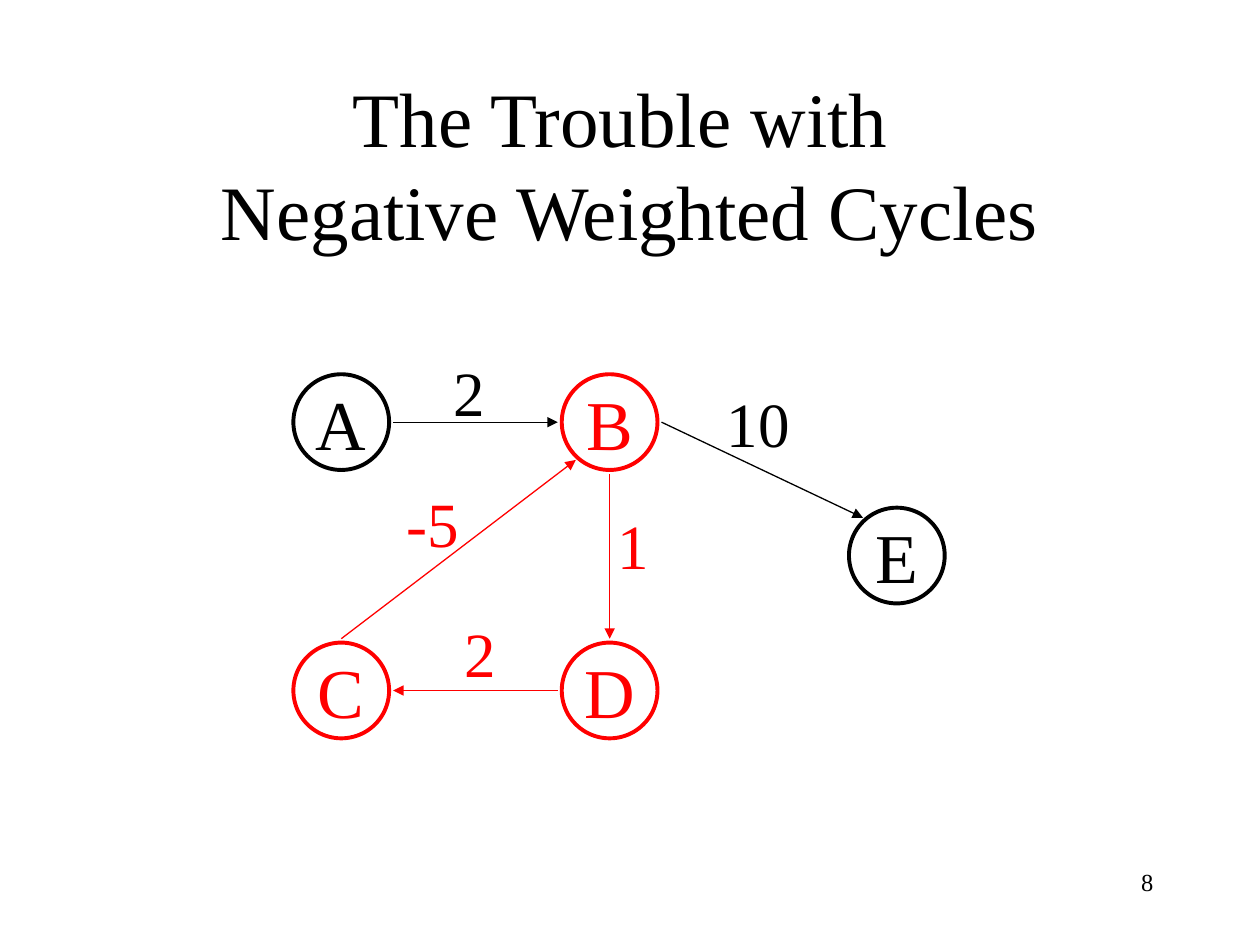
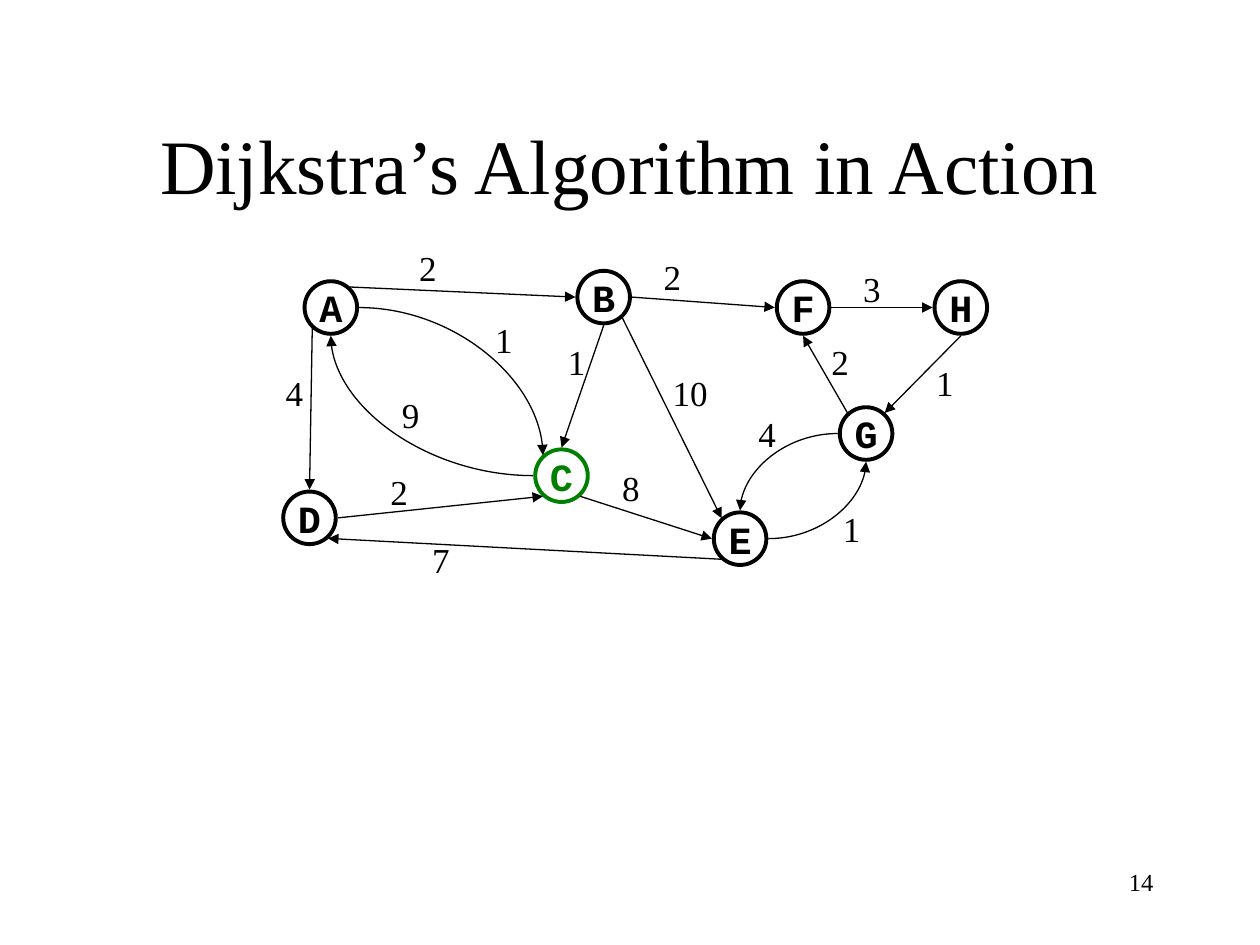
from dataclasses import dataclass
from math import sqrt

from lxml.etree import SubElement
from pptx import Presentation
from pptx.dml.color import RGBColor
from pptx.enum.shapes import MSO_CONNECTOR, MSO_SHAPE
from pptx.enum.text import MSO_ANCHOR, MSO_AUTO_SIZE, PP_ALIGN
from pptx.oxml.ns import qn
from pptx.util import Cm, Pt


@dataclass(frozen=True)
class Theme:
    black: RGBColor = RGBColor(0, 0, 0)
    white: RGBColor = RGBColor(255, 255, 255)
    red: RGBColor = RGBColor(255, 0, 0)
    green: RGBColor = RGBColor(0, 128, 0)
    serif: str = "Times New Roman"
    mono: str = "Courier New"
    title_size: int = 44
    number_size: int = 14
    node_line: float = 2.24
    edge_line: float = 0.74


@dataclass(frozen=True)
class GraphStyle:
    diameter: float
    gap: float
    node_font: str
    node_size: int
    node_bold: bool
    weight_size: int


THEME = Theme()
LARGE = GraphStyle(1.93, 0.08, THEME.serif, 40, False, 36)
SMALL = GraphStyle(1.06, 0.04, THEME.mono, 22, True, 20)

TITLE_BOX = (1.9, 1.7, 21.6, 3.18)
NUMBER_BOX = (18.2, 17.35, 5.3, 1.27)
INSETS = (0.51, 0.25)
CM_PER_POINT = 2.54 / 72
COMPASS = {
    "N": (0, -1), "NE": (1, -1), "E": (1, 0), "SE": (1, 1),
    "S": (0, 1), "SW": (-1, 1), "W": (-1, 0), "NW": (-1, -1),
}


def lengths(box):
    return [Cm(value) for value in box]


def add_run(paragraph, text, size, font=THEME.serif, color=THEME.black, bold=False):
    run = paragraph.add_run()
    run.text = text
    run.font.size = Pt(size)
    run.font.name = font
    run.font.bold = bold
    run.font.color.rgb = color


def add_title(slide, box, lines):
    title = slide.shapes.title
    title.left, title.top, title.width, title.height = lengths(box)
    frame = title.text_frame
    frame.auto_size = MSO_AUTO_SIZE.NONE
    frame.vertical_anchor = MSO_ANCHOR.MIDDLE
    paragraph = frame.paragraphs[0]
    paragraph.alignment = PP_ALIGN.CENTER
    for index, line in enumerate(lines):
        if index:
            paragraph.add_line_break()
        add_run(paragraph, line, THEME.title_size)


def add_number(slide, box, number):
    frame = slide.shapes.add_textbox(*lengths(box)).text_frame
    frame.word_wrap = True
    paragraph = frame.paragraphs[0]
    paragraph.alignment = PP_ALIGN.RIGHT
    add_run(paragraph, str(number), THEME.number_size)


def add_node(slide, center, name, color, style):
    x, y = center
    side = style.diameter
    shape = slide.shapes.add_shape(
        MSO_SHAPE.OVAL, *lengths((x - side / 2, y - side / 2, side, side)))
    shape.shadow.inherit = False
    shape.fill.solid()
    shape.fill.fore_color.rgb = THEME.white
    shape.line.color.rgb = color
    shape.line.width = Pt(THEME.node_line)
    frame = shape.text_frame
    frame.word_wrap = False
    frame.vertical_anchor = MSO_ANCHOR.MIDDLE
    paragraph = frame.paragraphs[0]
    paragraph.alignment = PP_ALIGN.CENTER
    add_run(paragraph, name, style.node_size, style.node_font, color, style.node_bold)


def port(center, side, style):
    x, y = center
    across, down = COMPASS[side]
    radius = style.diameter / 2
    if across and down:
        reach = radius / sqrt(2)
        return x + across * reach, y + down * (reach + style.gap)
    return x + across * (radius + style.gap), y + down * (radius + style.gap)


def add_edge(slide, start, end, color, curved):
    kind = MSO_CONNECTOR.CURVE if curved else MSO_CONNECTOR.STRAIGHT
    connector = slide.shapes.add_connector(kind, *lengths(start + end))
    connector.line.color.rgb = color
    connector.line.width = Pt(THEME.edge_line)
    properties = connector.element.spPr
    if curved:
        properties.find(qn("a:prstGeom")).set("prst", "curvedConnector2")
    SubElement(properties.find(qn("a:ln")), qn("a:tailEnd"), type="triangle")
    SubElement(properties, qn("a:effectLst"))


def add_weight(slide, left, top, text, color, size):
    ems = sum(0.33 if character == "-" else 0.5 for character in text)
    width = INSETS[0] + ems * size * CM_PER_POINT
    height = INSETS[1] + 1.2 * size * CM_PER_POINT
    frame = slide.shapes.add_textbox(*lengths((left, top, width, height))).text_frame
    frame.word_wrap = False
    add_run(frame.paragraphs[0], text, size, color=color)


def add_graph(slide, origin, nodes, edges, style):
    left, top = origin
    centers = {name: (left + x, top + y) for name, (x, y, color) in nodes.items()}
    for name, center in centers.items():
        add_node(slide, center, name, nodes[name][2], style)
    for source, leave, target, arrive, weight, x, y, color, curved in edges:
        start = port(centers[source], leave, style)
        end = port(centers[target], arrive, style)
        add_edge(slide, start, end, color, curved)
    for source, leave, target, arrive, weight, x, y, color, curved in edges:
        add_weight(slide, left + x, top + y, weight, color, style.weight_size)


def add_graph_slide(presentation, lines, number, origin, nodes, edges, style):
    slide = presentation.slides.add_slide(presentation.slide_layouts[5])
    add_title(slide, TITLE_BOX, lines)
    add_graph(slide, origin, nodes, edges, style)
    add_number(slide, NUMBER_BOX, number)


BLACK, RED, GREEN = THEME.black, THEME.red, THEME.green

CYCLE_NODES = {
    "A": (0.98, 1.51, BLACK),
    "B": (6.39, 1.51, RED),
    "C": (0.98, 6.92, RED),
    "D": (6.39, 6.92, RED),
    "E": (12.18, 4.2, BLACK),
}
CYCLE_EDGES = [
    ("A", "E", "B", "W", "2", 2.99, 0, BLACK, False),
    ("B", "S", "D", "N", "1", 6.29, 3.08, RED, False),
    ("D", "W", "C", "E", "2", 3.22, 5.27, RED, False),
    ("C", "N", "B", "SW", "-5", 2.05, 2.65, RED, False),
    ("B", "E", "E", "NW", "10", 8.5, 0.62, BLACK, False),
]

DIJKSTRA_NODES = {
    "A": (1.17, 1.35, BLACK),
    "C": (5.82, 4.74, GREEN),
    "B": (6.67, 1.14, BLACK),
    "D": (0.74, 5.59, BLACK),
    "F": (10.69, 1.35, BLACK),
    "H": (13.87, 1.35, BLACK),
    "G": (11.96, 3.89, BLACK),
    "E": (9.42, 6.01, BLACK),
}
DIJKSTRA_EDGES = [
    ("A", "E", "C", "NW", "1", 4.23, 1.45, BLACK, True),
    ("C", "W", "A", "S", "9", 2.35, 2.95, BLACK, True),
    ("A", "NE", "B", "W", "2", 2.7, 0, BLACK, False),
    ("B", "S", "C", "N", "1", 5.7, 1.88, BLACK, False),
    ("D", "E", "C", "SW", "2", 2.12, 4.5, BLACK, False),
    ("A", "SW", "D", "N", "4", 0.01, 2.52, BLACK, False),
    ("C", "SE", "E", "W", "8", 6.79, 4.42, BLACK, False),
    ("E", "SW", "D", "SE", "7", 2.96, 5.89, BLACK, False),
    ("G", "NW", "F", "S", "2", 11.01, 1.88, BLACK, False),
    ("F", "E", "H", "W", "3", 11.65, 0.41, BLACK, False),
    ("H", "S", "G", "NE", "1", 13.12, 2.31, BLACK, False),
    ("G", "W", "E", "N", "4", 9.54, 3.33, BLACK, True),
    ("E", "E", "G", "S", "1", 11.24, 5.26, BLACK, True),
    ("B", "E", "F", "W", "2", 7.63, 0.18, BLACK, False),
    ("B", "SE", "E", "NW", "10", 7.81, 2.52, BLACK, False),
]

presentation = Presentation()
presentation.slide_width, presentation.slide_height = Cm(25.4), Cm(19.05)
add_graph_slide(presentation, ["The Trouble with ", "Negative Weighted Cycles"], 8,
                (5.9, 7), CYCLE_NODES, CYCLE_EDGES, LARGE)
add_graph_slide(presentation, ["Dijkstra’s Algorithm in Action"], 14,
                (5.5, 4.85), DIJKSTRA_NODES, DIJKSTRA_EDGES, SMALL)
presentation.save("out.pptx")
